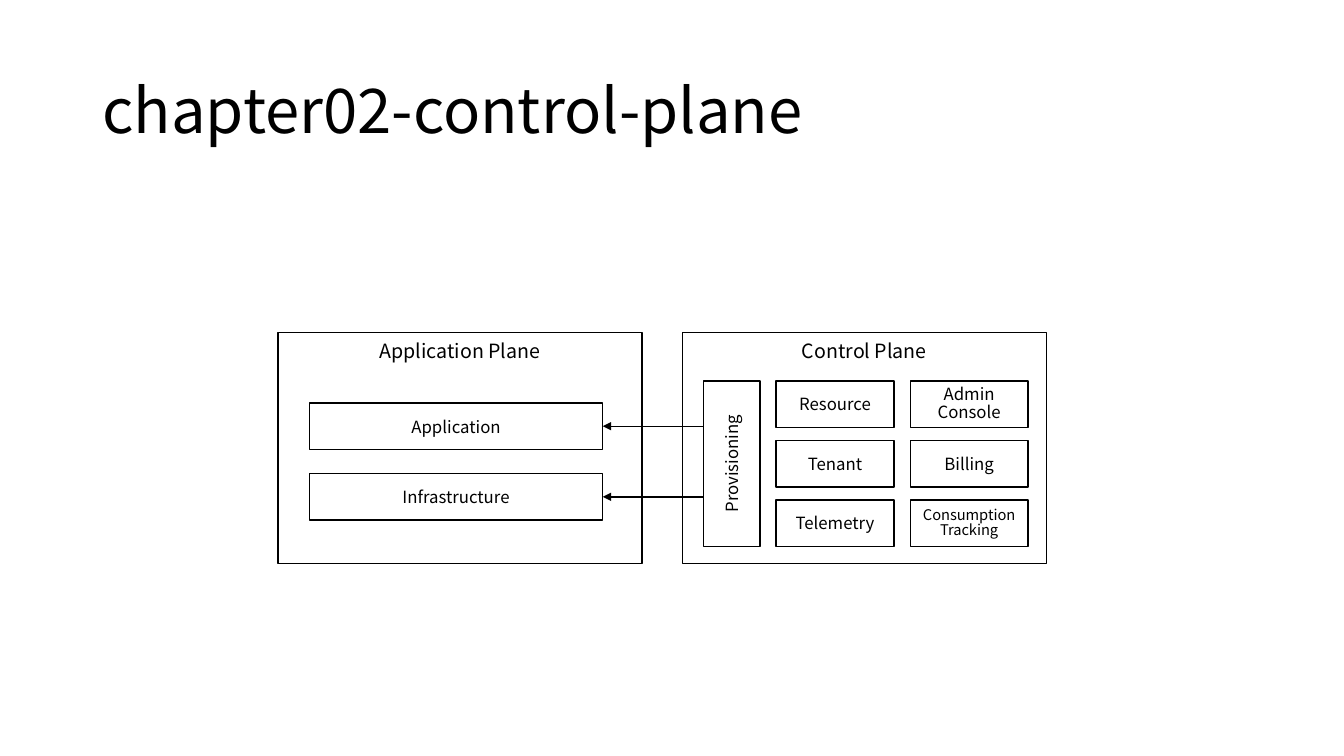
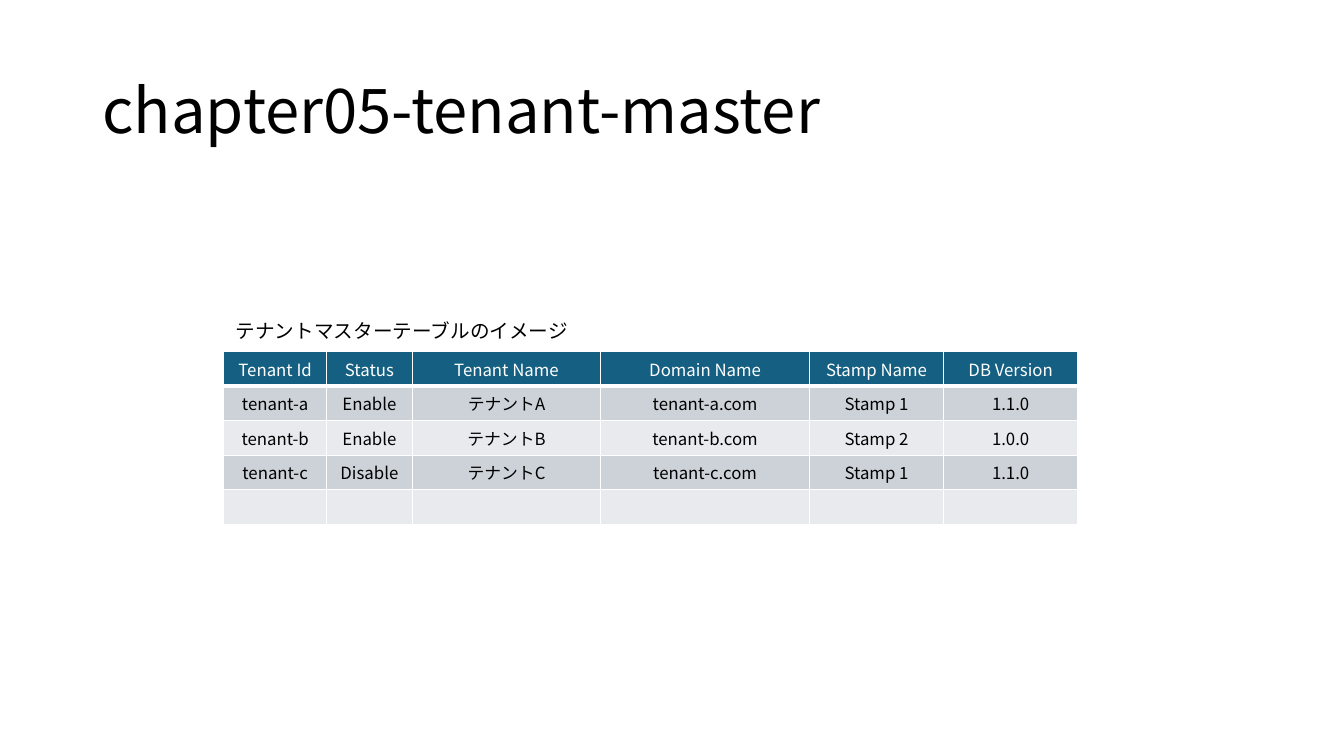
import lxml.etree
import pptx
import pptx.dml.color
import pptx.enum.shapes
import pptx.enum.text
import pptx.oxml.ns
import pptx.util

Cm = pptx.util.Cm
Pt = pptx.util.Pt
qn = pptx.oxml.ns.qn
Align = pptx.enum.text.PP_ALIGN
Anchor = pptx.enum.text.MSO_ANCHOR

FONT = "Noto Sans CJK JP"
BLACK, WHITE = "000000", "FFFFFF"
HEADER, BANDS = "156082", ("CCD2D8", "E8EAED")


def color(value):
    return pptx.dml.color.RGBColor.from_string(value)


class Deck:
    """Holds the presentation, its shared style and the current slide."""

    def __init__(self):
        self.presentation = pptx.Presentation()
        self.presentation.slide_width = Cm(33.87)
        self.presentation.slide_height = Cm(19.05)
        self.slide = None

    def add_slide(self, title):
        self.slide = self.presentation.slides.add_slide(self.presentation.slide_layouts[5])
        shape = self.slide.shapes.title
        shape.left, shape.top, shape.width, shape.height = Cm(2.33), Cm(1.02), Cm(29.21), Cm(3.68)
        shape.text_frame.auto_size = pptx.enum.text.MSO_AUTO_SIZE.NONE
        self.set_text(shape.text_frame, title, 44, align=Align.LEFT, spacing=0.9)

    def set_text(self, frame, text, size, text_color=BLACK, align=Align.CENTER,
                 anchor=Anchor.MIDDLE, spacing=None):
        frame.text = text
        frame.word_wrap = True
        frame.vertical_anchor = anchor
        for paragraph in frame.paragraphs:
            paragraph.alignment = align
            paragraph.line_spacing = spacing
            paragraph.font.size = Pt(size)
            paragraph.font.name = FONT
            paragraph.font.color.rgb = color(text_color)
            defaults = paragraph._p.pPr.find(qn("a:defRPr"))
            lxml.etree.SubElement(defaults, qn("a:ea"), typeface=FONT)
            if not text:
                lxml.etree.SubElement(paragraph._p, qn("a:endParaRPr"), sz=str(size * 100))

    def label(self, text, left, top, width, align=Align.CENTER):
        shape = self.slide.shapes.add_textbox(Cm(left), Cm(top), Cm(width), Cm(0.86))
        self.set_text(shape.text_frame, text, 14, align=align, anchor=Anchor.TOP)

    def box(self, left, top, width, height, text="", size=12, filled=True, vertical=False):
        shape = self.slide.shapes.add_shape(
            pptx.enum.shapes.MSO_SHAPE.RECTANGLE, Cm(left), Cm(top), Cm(width), Cm(height))
        shape.shadow.inherit = False
        if filled:
            shape.fill.solid()
            shape.fill.fore_color.rgb = color(WHITE)
        else:
            shape.fill.background()
        shape.line.color.rgb = color(BLACK)
        shape.line.width = Pt(1)
        if text:
            self.set_text(shape.text_frame, text, size, spacing=0.86 if "\n" in text else None)
        if vertical:
            shape.element.txBody.bodyPr.set("vert", "vert270")

    def plane(self, title, left):
        self.box(left, 8.38, 9.17, 5.82, filled=False)
        self.label(title, left, 8.41, 9.17)

    def arrow(self, start, end, top):
        connector = self.slide.shapes.add_connector(
            pptx.enum.shapes.MSO_CONNECTOR.STRAIGHT, Cm(start), Cm(top), Cm(end), Cm(top))
        connector.line.color.rgb = color(BLACK)
        connector.line.width = Pt(1)
        line = connector.element.spPr.find(qn("a:ln"))
        lxml.etree.SubElement(line, qn("a:tailEnd"), type="triangle")
        lxml.etree.SubElement(connector.element.spPr, qn("a:effectLst"))

    def border(self, cell, side, width):
        properties = cell._tc.get_or_add_tcPr()
        line = lxml.etree.SubElement(properties, qn(f"a:ln{side}"), w=str(int(Pt(width))))
        fill = lxml.etree.SubElement(line, qn("a:solidFill"))
        lxml.etree.SubElement(fill, qn("a:srgbClr"), val=WHITE)

    def table(self, rows, widths, left, top, row_height):
        table = self.slide.shapes.add_table(
            len(rows), len(widths), Cm(left), Cm(top),
            Cm(sum(widths)), Cm(row_height * len(rows))).table
        for column, width in zip(table.columns, widths):
            column.width = Cm(width)
        for row_index, values in enumerate(rows):
            is_header = row_index == 0
            table.rows[row_index].height = Cm(row_height)
            for cell, text in zip(table.rows[row_index].cells, values):
                self.set_text(cell.text_frame, text, 12, WHITE if is_header else BLACK)
                cell.vertical_anchor = Anchor.MIDDLE
                for side in "LRTB":
                    at_header_edge = (is_header and side == "B") or (row_index == 1 and side == "T")
                    self.border(cell, side, 3 if at_header_edge else 1)
                cell.fill.solid()
                cell.fill.fore_color.rgb = color(HEADER if is_header else BANDS[(row_index - 1) % 2])


def add_control_plane(deck):
    deck.add_slide("chapter02-control-plane")
    deck.plane("Application Plane", 7.01)
    deck.plane("Control Plane", 17.2)
    services = (("Resource", "Admin\nConsole"),
                ("Tenant", "Billing"),
                ("Telemetry", "Consumption\nTracking"))
    for row, names in enumerate(services):
        for column, name in enumerate(names):
            size = 10.5 if name.startswith("Consumption") else 12
            deck.box(19.56 + 3.38 * column, 9.6 + 1.5 * row, 2.97, 1.17, name, size)
    deck.box(17.73, 9.6, 1.42, 4.17, "Provisioning", vertical=True)
    for row, name in enumerate(("Application", "Infrastructure")):
        top = 10.16 + 1.78 * row
        deck.box(7.8, top, 7.39, 1.17, name)
        deck.arrow(17.73, 15.19, top + 0.58)


def add_tenant_master(deck):
    deck.add_slide("chapter05-tenant-master")
    rows = (
        ("Tenant Id", "Status", "Tenant Name", "Domain Name", "Stamp Name", "DB Version"),
        ("tenant-a", "Enable", "テナントA", "tenant-a.com", "Stamp 1", "1.1.0"),
        ("tenant-b", "Enable", "テナントB", "tenant-b.com", "Stamp 2", "1.0.0"),
        ("tenant-c", "Disable", "テナントC", "tenant-c.com", "Stamp 1", "1.1.0"),
        ("",) * 6,
    )
    deck.table(rows, (2.59, 2.16, 4.75, 5.26, 3.38, 3.38), 5.64, 8.86, 0.87)
    deck.label("テナントマスターテーブルのイメージ", 5.69, 7.9, 21.44, Align.LEFT)


def main():
    deck = Deck()
    add_control_plane(deck)
    add_tenant_master(deck)
    deck.presentation.save("out.pptx")


if __name__ == "__main__":
    main()
